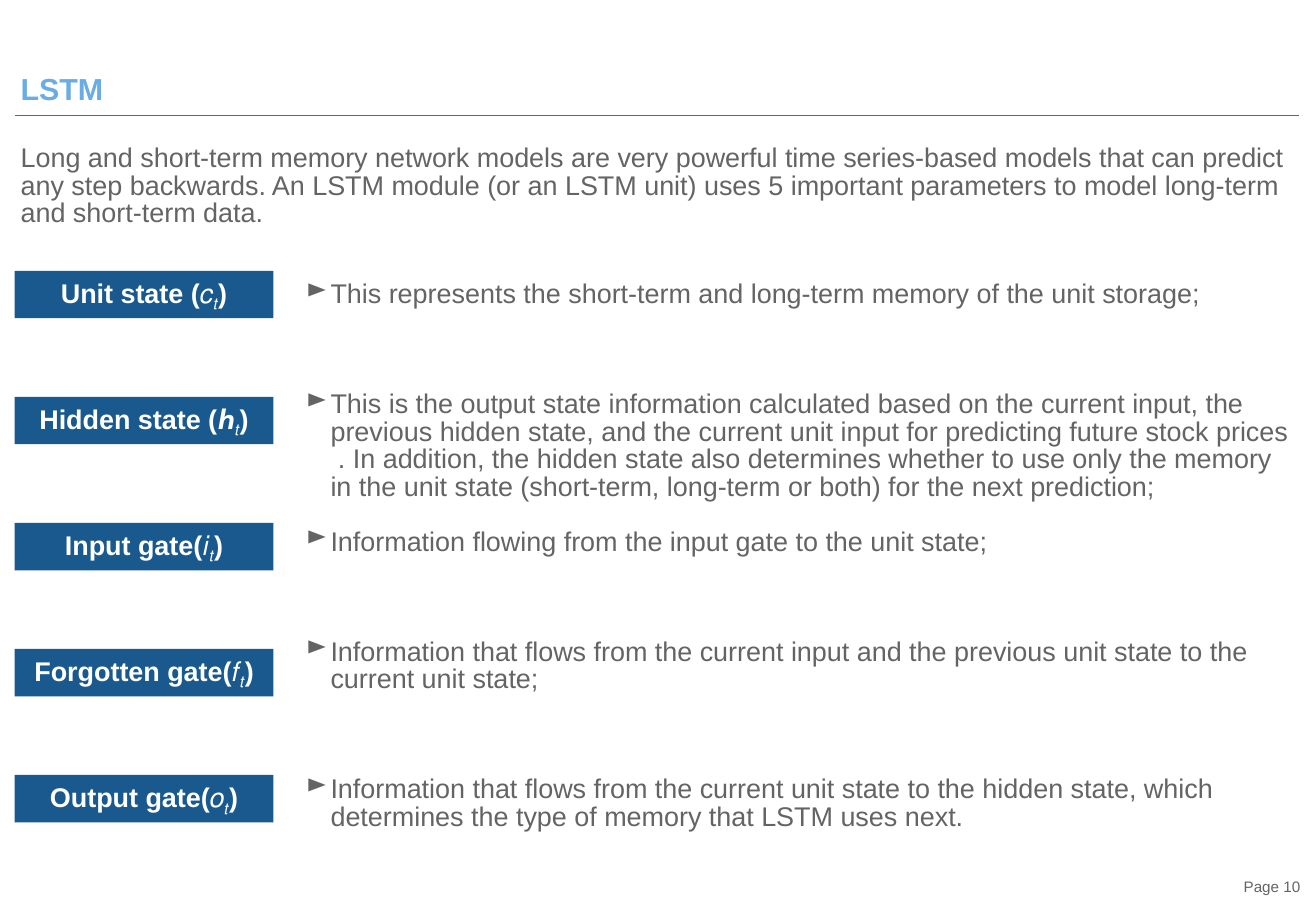
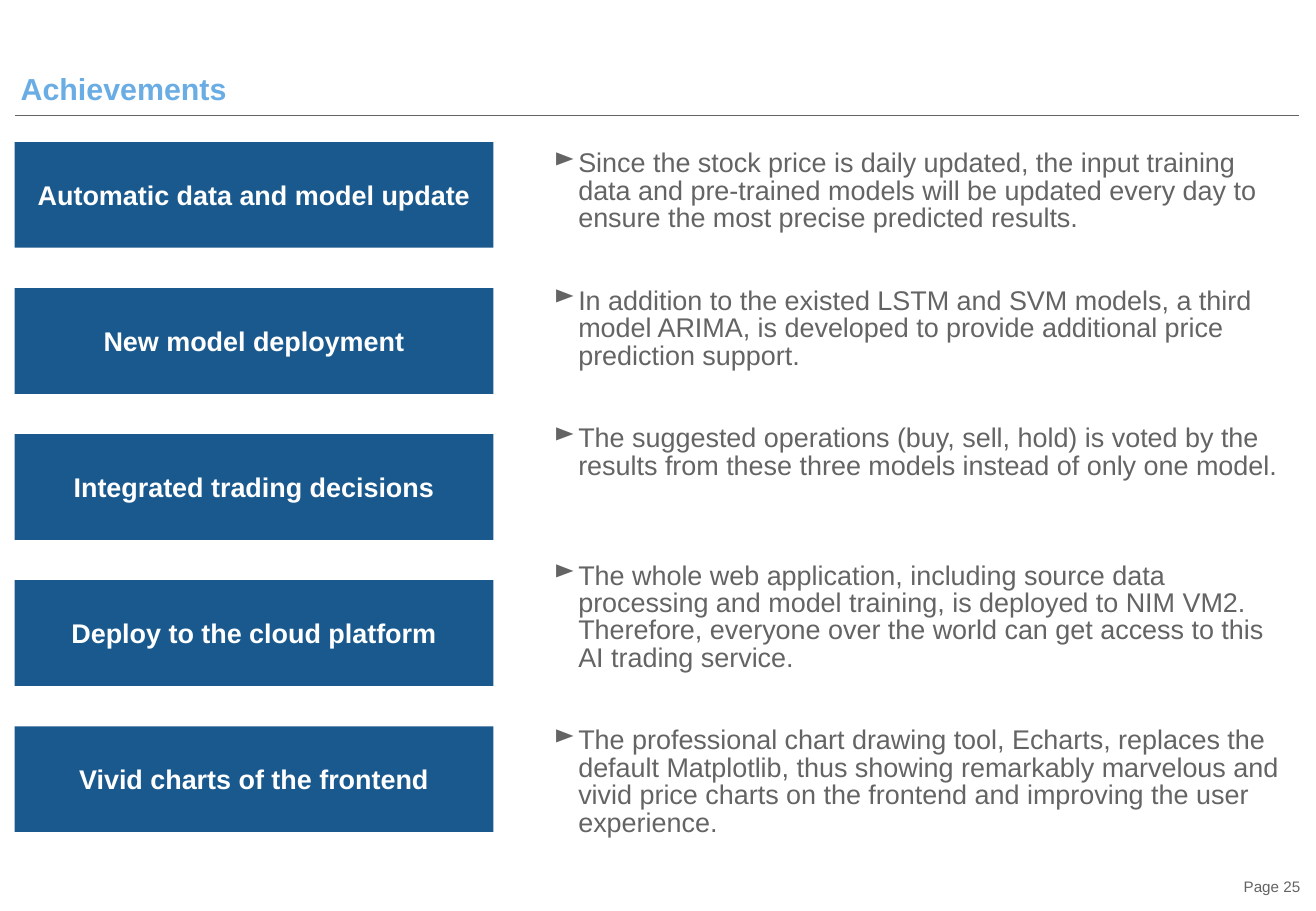
from pptx import Presentation
from pptx.dml.color import RGBColor
from pptx.enum.shapes import MSO_CONNECTOR, MSO_SHAPE
from pptx.enum.text import MSO_ANCHOR, PP_ALIGN
from pptx.oxml.ns import qn
from pptx.util import Inches, Pt
from lxml.etree import SubElement

WIDE, HIGH = Inches(10.83), Inches(7.5)
GREY, SKY, NAVY, WHITE = "646464", "6AADE4", "1A598D", "FFFFFF"
LEFT, SPAN = 1.11, 97.78
LINE = 16.3
INDENT = Inches(0.2)
BODY = {"size": Pt(16), "name": "Arial"}
HEAD = {"size": Pt(18), "name": "Arial", "bold": True}
FOOT = {"size": Pt(9), "name": "Arial"}
LABEL = {**BODY, "bold": True}

STATES = [
    (("Unit state (𝑐", "𝑡", ")"), 0,
     "This represents the short-term and long-term memory of the unit storage;"),
    (("Hidden state (ℎ", "𝑡", ")"), 3,
     "This is the output state information calculated based on the current input, "
     "the previous hidden state, and the current unit input for predicting future "
     "stock prices  . In addition, the hidden state also determines whether to use "
     "only the memory in the unit state (short-term, long-term or both) for the next "
     "prediction;"),
    (("Input gate(𝑖", "𝑡", ")"), 1,
     "Information flowing from the input gate to the unit state;"),
    (("Forgotten gate(𝑓", "𝑡", ")"), 3,
     "Information that flows from the current input and the previous unit state to "
     "the current unit state;"),
    (("Output gate(𝑜", "𝑡", ")"), 3,
     "Information that flows from the current unit state to the hidden state, which "
     "determines the type of memory that LSTM uses next."),
]

GAINS = [
    (("Automatic data and model update",), 0,
     "Since the stock price is daily updated, the input training data and pre-trained "
     "models will be updated every day to ensure the most precise predicted results."),
    (("New model deployment",), 2,
     "In addition to the existed LSTM and SVM models, a third model ARIMA, is developed "
     "to provide additional price prediction support."),
    (("Integrated trading decisions",), 2,
     "The suggested operations (buy, sell, hold) is voted by the results from these "
     "three models instead of only one model."),
    (("Deploy to the cloud platform",), 3,
     "The whole web application, including source data processing and model training, "
     "is deployed to NIM VM2. Therefore, everyone over the world can get access to this "
     "AI trading service."),
    (("Vivid charts of the frontend",), 2,
     "The professional chart drawing tool, Echarts, replaces the default Matplotlib, "
     "thus showing remarkably marvelous and vivid price charts on the frontend and "
     "improving the user experience."),
]


def paint(color, code):
    color.rgb = RGBColor.from_string(code)


def apply(target, values):
    for name, value in values.items():
        setattr(target, name, value)


def place(x, y, w, h):
    return [int(side * share / 100) for side, share in
            ((WIDE, x), (HIGH, y), (WIDE, w), (HIGH, h))]


def write(par, text, style, code):
    run = par.add_run()
    run.text = text
    apply(run.font, style)
    paint(run.font.color, code)
    return run


def setup(frame, anchor, pads):
    sides = ("margin_left", "margin_top", "margin_right", "margin_bottom")
    apply(frame, dict(zip(sides, map(Inches, pads))))
    apply(frame, {"word_wrap": True, "vertical_anchor": anchor})
    return frame


def box(slide, area, anchor=MSO_ANCHOR.TOP, pads=(0.05,) * 4):
    return setup(slide.shapes.add_textbox(*place(*area)).text_frame, anchor, pads)


def text(frame, words, style, code, **form):
    par = frame.paragraphs[0]
    apply(par, form)
    write(par, words, style, code)


def rule(slide, y):
    x, top, width, _ = place(LEFT, y, 97.6, 0)
    line = slide.shapes.add_connector(MSO_CONNECTOR.STRAIGHT, x, top, x + width, top)
    paint(line.line.color, GREY)
    line.line.width = Pt(0.75)
    SubElement(line._element.spPr, qn("a:effectLst"))


def bullet(par):
    props = par._p.get_or_add_pPr()
    props.set("marL", str(INDENT))
    props.set("indent", str(-INDENT))
    tint = SubElement(props, qn("a:buClr"))
    SubElement(tint, qn("a:srgbClr"), val=GREY)
    SubElement(props, qn("a:buChar"), char="►")


def points(slide, area, items):
    frame = box(slide, area)
    for row, (_, gap, words) in enumerate(items):
        par = frame.add_paragraph() if row else frame.paragraphs[0]
        apply(par, {"line_spacing": 0.85, "space_before": Pt(gap * LINE)})
        bullet(par)
        write(par, words, BODY, GREY)


def label(slide, area, parts):
    tile = slide.shapes.add_shape(MSO_SHAPE.RECTANGLE, *place(*area))
    tile.shadow.inherit = False
    tile.fill.solid()
    paint(tile.fill.fore_color, NAVY)
    tile.line.fill.background()
    frame = setup(tile.text_frame, MSO_ANCHOR.MIDDLE, (0.1, 0.05, 0.1, 0.05))
    par = frame.paragraphs[0]
    par.alignment = PP_ALIGN.CENTER
    for spot, part in enumerate(parts):
        run = write(par, part, LABEL, WHITE)
        if spot == 1:
            run._r.get_or_add_rPr().set("baseline", "-25000")


def labels(slide, first, last, width, height, items):
    step = (last - first) / (len(items) - 1)
    for row, (parts, _, _) in enumerate(items):
        label(slide, (LEFT, first + row * step, width, height), parts)


def page(deck, title, number):
    slide = deck.slides.add_slide(deck.slide_layouts[6])
    foot = box(slide, (75.35, 95.87, 23.45, 2.93), MSO_ANCHOR.MIDDLE, (0,) * 4)
    text(foot, f"Page {number}", FOOT, GREY, alignment=PP_ALIGN.RIGHT)
    rule(slide, 12.67)
    head = box(slide, (LEFT, 0.13, SPAN, 11.6), MSO_ANCHOR.BOTTOM, (0.05, 0, 0, 0))
    text(head, title, HEAD, SKY, line_spacing=0.85)
    return slide


def main():
    deck = Presentation()
    apply(deck, {"slide_width": WIDE, "slide_height": HIGH})

    slide = page(deck, "LSTM", 10)
    text(box(slide, (LEFT, 15.33, SPAN, 10.53)),
         "Long and short-term memory network models are very powerful time series-based "
         "models that can predict any step backwards. An LSTM module (or an LSTM unit) "
         "uses 5 important parameters to model long-term and short-term data.",
         BODY, GREY, line_spacing=0.85)
    points(slide, (22.81, 30.27, 76.08, 62.4), STATES)
    labels(slide, 29.73, 85.07, 19.67, 5.2, STATES)

    slide = page(deck, "Achievements", 25)
    points(slide, (41.64, 15.87, 57.25, 77.6), GAINS)
    labels(slide, 15.6, 79.73, 36.38, 11.6, GAINS)

    deck.save("out.pptx")


if __name__ == "__main__":
    main()
